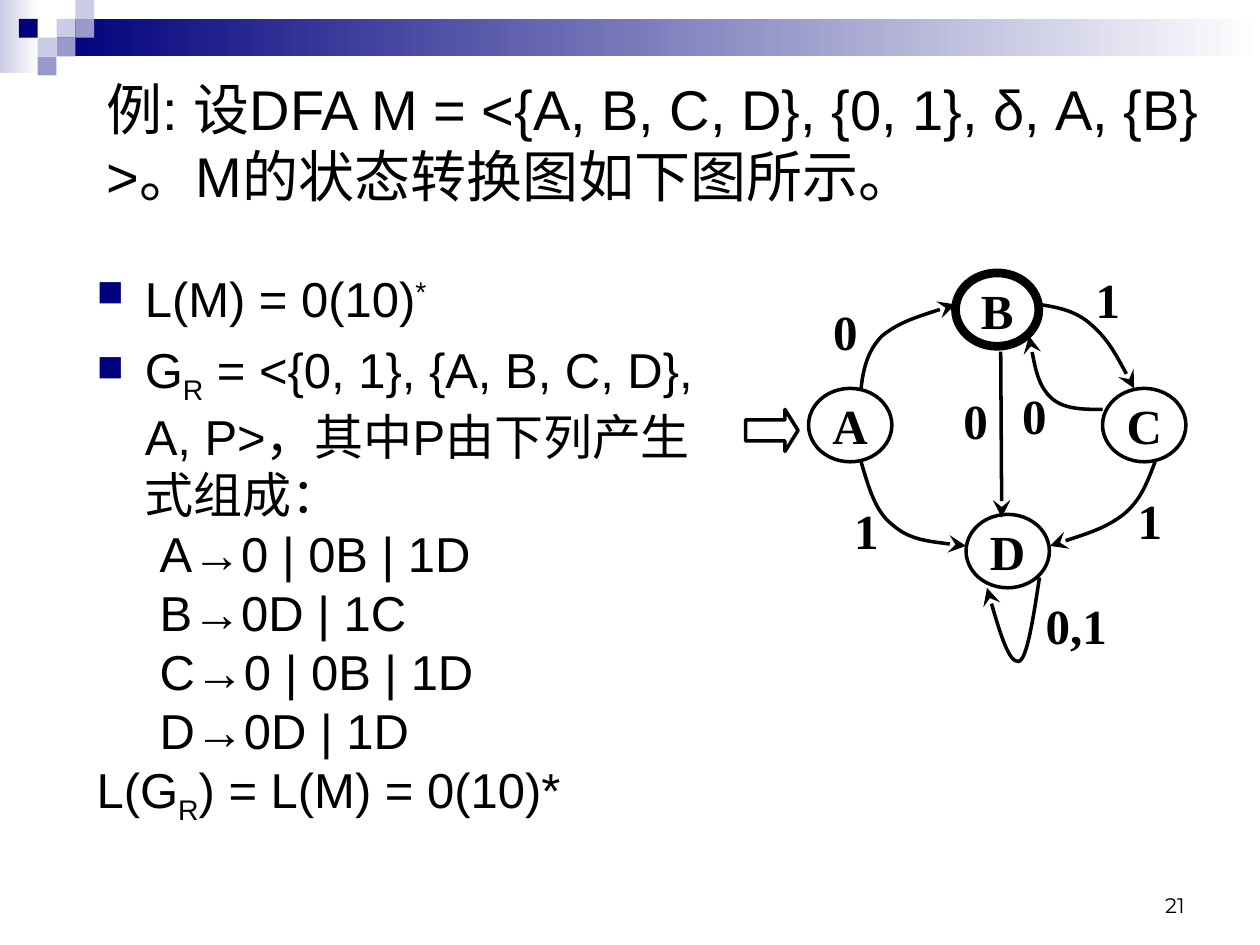
import pptx
import pptx.util
import pptx.dml.color
import pptx.enum.shapes
import pptx.enum.text
import pptx.oxml
import pptx.oxml.ns
from lxml import etree

Cm = pptx.util.Cm
Pt = pptx.util.Pt
KIND = pptx.enum.shapes.MSO_SHAPE
ANCHOR = pptx.enum.text.MSO_ANCHOR
ALIGN = pptx.enum.text.PP_ALIGN
qn = pptx.oxml.ns.qn
HUES = {"ink": "000000", "navy": "00007D", "mid": "9999CC",
        "pale": "CCCCE6", "white": "FFFFFF"}
UNIT = 2.54 / 12


def hue(name):
    """Return the named colour."""
    return pptx.dml.color.RGBColor.from_string(HUES[name])


def child(node, tag, **attrs):
    """Append a drawing element to a node."""
    return etree.SubElement(node, qn("a:" + tag), attrs)


def write(shape, paras, size=28, font="Arial", bold=False, align=ALIGN.LEFT,
          anchor=ANCHOR.MIDDLE, wrap=True):
    """Fill a shape with paragraphs, each a dict of runs and layout."""
    frame = shape.text_frame
    frame.word_wrap = wrap
    frame.vertical_anchor = anchor
    for i, item in enumerate(paras):
        para = frame.paragraphs[0] if i == 0 else frame.add_paragraph()
        props = para._p.get_or_add_pPr()
        left, first = item.get("indent", (0, 0))
        props.set("marL", str(Cm(left)))
        props.set("indent", str(Cm(first)))
        if item.get("bullet"):
            child(child(props, "buClr"), "srgbClr", val=HUES["navy"])
            child(props, "buSzPct", val="75000")
            child(props, "buChar", char="■")
        para.alignment = align
        para.space_before = Pt(item.get("before", 0))
        for text, base in item["runs"]:
            run = para.add_run()
            run.text = text
            run.font.size = Pt(size)
            run.font.name = font
            run.font.bold = bold
            run.font.color.rgb = hue("ink")
            if base:
                run.font._element.set("baseline", str(base * 1000))


def plain(text):
    """Wrap one text as a list of one paragraph."""
    return [{"runs": [(text, 0)]}]


def block(slide, kind, box, fill=None, line=None):
    """Add a preset shape with an optional fill and outline."""
    shape = slide.shapes.add_shape(kind, *map(Cm, box))
    shape.shadow.inherit = False
    if isinstance(fill, tuple):
        shape.fill.gradient()
        shape.fill.gradient_angle = 0
        for stop, name, place in zip(shape.fill.gradient_stops, fill, (0, 1)):
            stop.color.rgb = hue(name)
            stop.position = place
    elif fill:
        shape.fill.solid()
        shape.fill.fore_color.rgb = hue(fill)
    else:
        shape.fill.background()
    if line:
        shape.line.color.rgb = hue("ink")
        shape.line.width = Pt(line)
    else:
        shape.line.fill.background()
    return shape


def label(slide, box, text, **form):
    """Add a text box holding one paragraph."""
    write(slide.shapes.add_textbox(*map(Cm, box)), plain(text), **form)


def tip(shape):
    """Draw the line in ink with an arrowhead at its end."""
    shape.line.color.rgb = hue("ink")
    shape.line.width = Pt(2)
    child(shape.line._get_or_add_ln(), "tailEnd", type="stealth", w="lg", len="lg")


def curve(slide, points):
    """Draw a chain of cubic curves ending in an arrowhead."""
    pen = slide.shapes.build_freeform(*map(Cm, points[0]), scale=1.0)
    pen.add_line_segments([(Cm(x), Cm(y)) for x, y in points[1:]], close=False)
    shape = pen.convert_to_shape()
    shape.shadow.inherit = False
    shape.fill.background()
    trail = next(shape._element.iter(qn("a:path")))
    legs = trail.findall(qn("a:lnTo"))
    for i in range(0, len(legs), 3):
        bend = child(trail, "cubicBezTo")
        for leg in legs[i:i + 3]:
            bend.append(leg[0])
            trail.remove(leg)
    tip(shape)


def header(slide, left, top, width):
    """Draw the gradient band and the mosaic of squares."""
    side = 0.38
    block(slide, KIND.RECTANGLE, (left, top, 0.79, 1.47), ("pale", "white"))
    block(slide, KIND.RECTANGLE, (left + 3 * side, top + side, width - 3 * side, 2 * side),
          ("navy", "white"))
    tiles = [(3, 1, "pale"), (4, 0, "pale"), (4, 1, "mid"), (2, 2, "pale"),
             (1, 1, "navy"), (3, 2, "mid"), (2, 3, "mid")]
    for col, row, name in tiles:
        block(slide, KIND.RECTANGLE, (left + col * side, top + row * side, side, side), name)


def body(slide, box):
    """Write the language, the grammar and its rules."""
    hang, deep = (0.97, -0.97), (2.06, -0.79)
    rules = ["A→0 | 0B | 1D", "B→0D | 1C", "C→0 | 0B | 1D", "D→0D | 1D"]
    paras = [
        {"runs": [("L(M) = 0(10)", 0), ("*", 30)], "indent": hang, "bullet": True},
        {"runs": [("G", 0), ("R", -25),
                  (" = <{0, 1}, {A, B, C, D}, A, P>，其中P由下列产生式组成：", 0)],
         "indent": hang, "bullet": True, "before": 7},
        *({"runs": [(rule, 0)], "indent": deep} for rule in rules),
        {"runs": [("L(G", 0), ("R", -25), (") = L(M) = 0(10)*", 0)], "indent": hang},
    ]
    write(slide.shapes.add_textbox(*map(Cm, box)), paras, anchor=ANCHOR.TOP)


def graph(slide, left, top):
    """Draw the state diagram on a grid of twelfths of an inch."""
    def at(x, y):
        return left + x * UNIT, top + y * UNIT

    form = dict(font="Times New Roman", bold=True, align=ALIGN.CENTER, wrap=False)
    nodes = [("A", 6, 12, 2), ("B", 20, 1, 5), ("C", 34, 12, 2), ("D", 21, 24, 2)]
    for name, x, y, line in nodes:
        node = block(slide, KIND.OVAL, (*at(x, y), 1.68, 1.48), line=line)
        write(node, plain(name), **form)
    marks = [("1", 29, 0), ("0", 4, 3), ("0,1", 26, 31), ("1", 6, 22),
             ("1", 33, 21), ("0", 22, 11), ("0", 16.4, 11.5)]
    for text, x, y in marks:
        label(slide, (*at(x, y), 11 * UNIT, 7 * UNIT), text, **form)
    edges = [
        [(28, 30), (27.4, 33.9), (26.8, 37.9), (26, 38), (25.1, 38.1), (24, 34.6), (23, 31)],
        [(11, 12), (11.2, 10.2), (11.6, 8.4), (13, 7), (14.6, 5.7), (17.2, 4.9), (20, 4)],
        [(11, 19), (11.7, 21.3), (12.3, 23.7), (14, 25), (15.6, 26.4), (18.3, 26.7), (21, 27)],
        [(34, 14), (32.1, 14), (30.2, 14), (29, 12.8), (27.9, 11.7), (27.4, 9.3), (27, 7)],
        [(28, 4), (29.8, 4.3), (31.5, 4.6), (33, 6), (34.5, 7.3), (35.8, 9.7), (37, 12)],
        [(39, 19), (38.3, 20.8), (37.7, 22.6), (36, 24), (34.3, 25.3), (31.7, 26.1), (29, 27)],
    ]
    for edge in edges:
        curve(slide, [at(x, y) for x, y in edge])
    ends = (*at(24.3, 8.5), *at(24.4, 24.3))
    link = slide.shapes.add_connector(pptx.enum.shapes.MSO_CONNECTOR.STRAIGHT, *map(Cm, ends))
    tip(link)
    child(link._element.spPr, "effectLst")
    start = block(slide, KIND.RIGHT_ARROW, (*at(0, 14), 5 * UNIT, 4 * UNIT), line=2)
    start.adjustments[0] = 0.5
    start.adjustments[1] = 0.31


def main():
    """Build the slide and save it."""
    deck = pptx.Presentation()
    deck.slide_width, deck.slide_height = Cm(25.4), Cm(19.05)
    slide = deck.slides.add_slide(deck.slide_layouts[6])
    header(slide, 0, 0, 25.4)
    label(slide, (18.21, 17.35, 5.92, 1.27), "21", size=12, font="Montserrat",
          align=ALIGN.RIGHT, anchor=ANCHOR.BOTTOM)
    body(slide, (1.7, 5.28, 13.13, 12.07))
    label(slide, (1.9, 1.27, 22.86, 3.18),
          "例: 设DFA M = <{A, B, C, D}, {0, 1}, δ, A, {B}>。M的状态转换图如下图所示。", size=32)
    graph(slide, 15.03, 5.29)
    deck.save("out.pptx")


if __name__ == "__main__":
    main()
